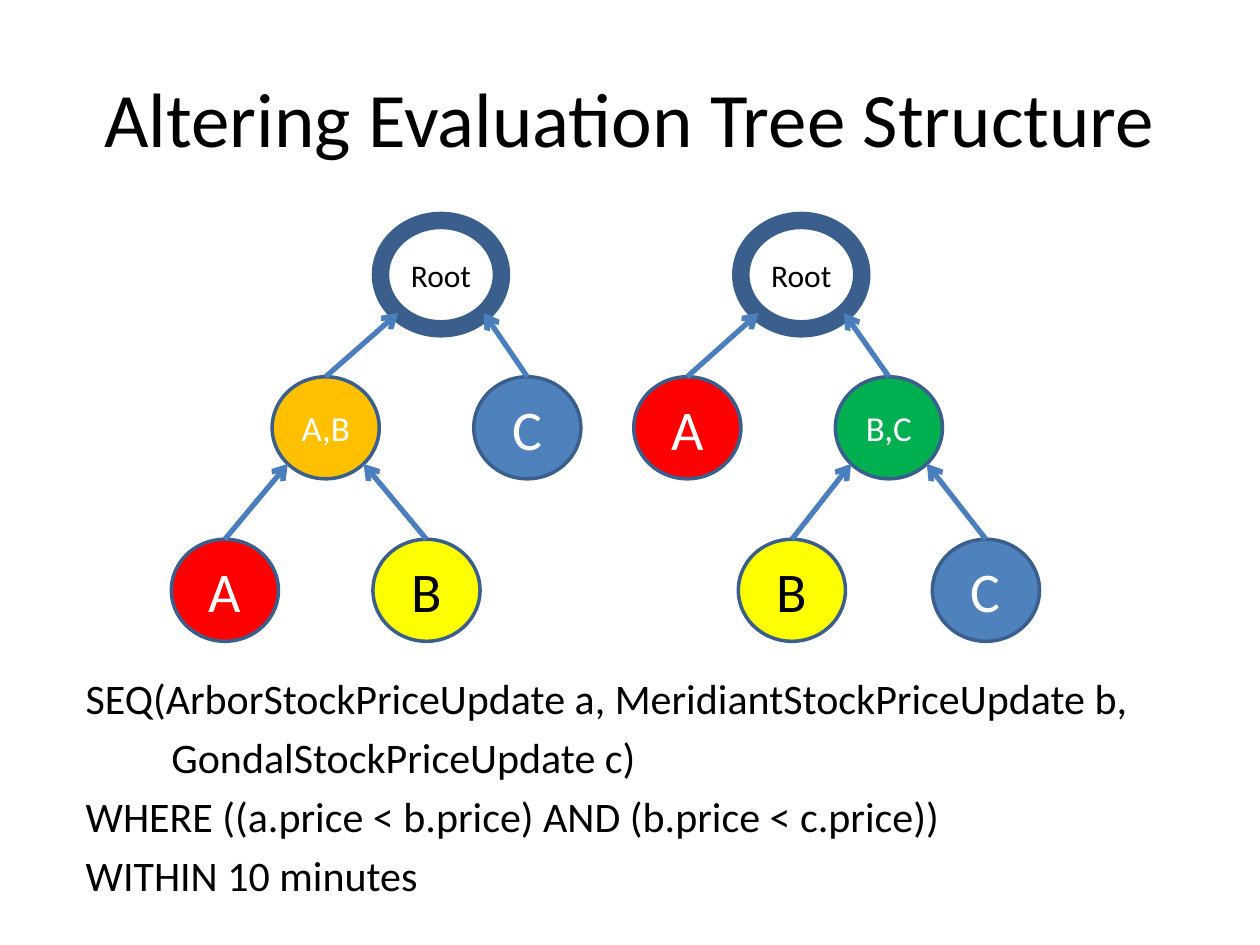
from math import sqrt
from pptx import Presentation
from pptx.dml.color import RGBColor as RGB
from pptx.enum.shapes import MSO_CONNECTOR as CONN, MSO_SHAPE as SHAPE
from pptx.enum.text import MSO_ANCHOR as ANCHOR, MSO_AUTO_SIZE as FIT, PP_ALIGN as ALIGN
from pptx.oxml.xmlchemy import OxmlElement as Node
from pptx.util import Inches, Pt

BLACK = RGB(0, 0, 0)
WHITE = RGB(255, 255, 255)
RED = RGB(255, 0, 0)
YELLOW = RGB(255, 255, 0)
AMBER = RGB(255, 192, 0)
GREEN = RGB(0, 176, 80)
BLUE = RGB(79, 129, 189)
EDGE = RGB(58, 95, 140)
ARROW = RGB(75, 126, 188)

TITLE = "Altering Evaluation Tree Structure"
QUERY = [
    ("SEQ(ArborStockPriceUpdate a, MeridiantStockPriceUpdate b,", 0),
    ("GondalStockPriceUpdate c)", 0.68),
    ("WHERE ((a.price < b.price) AND (b.price < c.price))", 0),
    ("WITHIN 10 minutes", 0),
]

ROOT = dict(size=18, color=BLACK, fill=None)
PAIR = dict(size=20, color=WHITE)
LEAF = dict(size=32, color=WHITE)
A = ("A", dict(LEAF, fill=RED))
B = ("B", dict(LEAF, fill=YELLOW, color=BLACK))
C = ("C", dict(LEAF, fill=BLUE))
AB = ("A,B", dict(PAIR, fill=AMBER))
BC = ("B,C", dict(PAIR, fill=GREEN))
TOP = ("Root", ROOT)

# tree = (node, left edge, children)
TREES = [
    (TOP, 3.02, [
        (AB, 2.16, [(A, 1.36, []), (B, 2.96, [])]),
        (C, 3.76, []),
    ]),
    (TOP, 5.88, [
        (A, 5.03, []),
        (BC, 6.63, [(B, 5.86, []), (C, 7.4, [])]),
    ]),
]
ROWS = [1.75, 2.99, 4.28]


def write(para, text, size, color, align=ALIGN.LEFT):
    para.alignment = align
    run = para.add_run()
    run.text = text
    run.font.name = "Calibri"
    run.font.size = Pt(size)
    run.font.color.rgb = color


def place(shape, *box):
    shape.left, shape.top, shape.width, shape.height = map(Inches, box)


def disc(left, level, text, size, color, fill):
    wide, high = (0.85, 0.81) if level else (0.96, 0.86)
    box = (left, ROWS[level], wide, high)
    shape = slide.shapes.add_shape(SHAPE.OVAL, *map(Inches, box))
    shape.shadow.inherit = False
    if fill is None:
        shape.fill.background()
    else:
        shape.fill.solid()
        shape.fill.fore_color.rgb = fill
    shape.line.color.rgb = EDGE
    shape.line.width = Pt(2 if level else 10)
    frame = shape.text_frame
    frame.word_wrap = False
    frame.vertical_anchor = ANCHOR.MIDDLE
    write(frame.paragraphs[0], text, size, color, ALIGN.CENTER)
    return box


def link(start, end):
    line = slide.shapes.add_connector(CONN.STRAIGHT, *map(Inches, start + end))
    line.line.color.rgb = ARROW
    line.line.width = Pt(3)
    tail = Node("a:tailEnd")
    tail.set("type", "arrow")
    line.line._get_or_add_ln().append(tail)
    line._element.spPr.append(Node("a:effectLst"))


def grow(tree, level=0):
    (text, style), left, kids = tree
    x, y, wide, high = disc(left, level, text, **style)
    for side, kid in zip((-1, 1), kids):
        kx, ky, kw, _ = grow(kid, level + 1)
        foot = (x + wide / 2 * (1 + side / sqrt(2)),
                y + high / 2 * (1 + 1 / sqrt(2)))
        link((kx + kw / 2, ky), foot)
    return x, y, wide, high


deck = Presentation()
deck.slide_width, deck.slide_height = Inches(10), Inches(7.5)
slide = deck.slides.add_slide(deck.slide_layouts[1])
title, body = slide.placeholders

place(title, 0.5, 0.3, 9, 1.25)
title.text_frame.vertical_anchor = ANCHOR.MIDDLE
write(title.text_frame.paragraphs[0], TITLE, 44, BLACK, ALIGN.CENTER)

for tree in TREES:
    grow(tree)

place(body, 0.58, 5.29, 9, 1.96)
frame = body.text_frame
frame.auto_size = FIT.NONE
for i, (text, inset) in enumerate(QUERY):
    para = frame.add_paragraph() if i else frame.paragraphs[0]
    write(para, text, 24, BLACK)
    props = para._p.get_or_add_pPr()
    props.set("marL", str(Inches(inset)))
    props.set("indent", "0")
    props.append(Node("a:buNone"))

deck.save("out.pptx")
